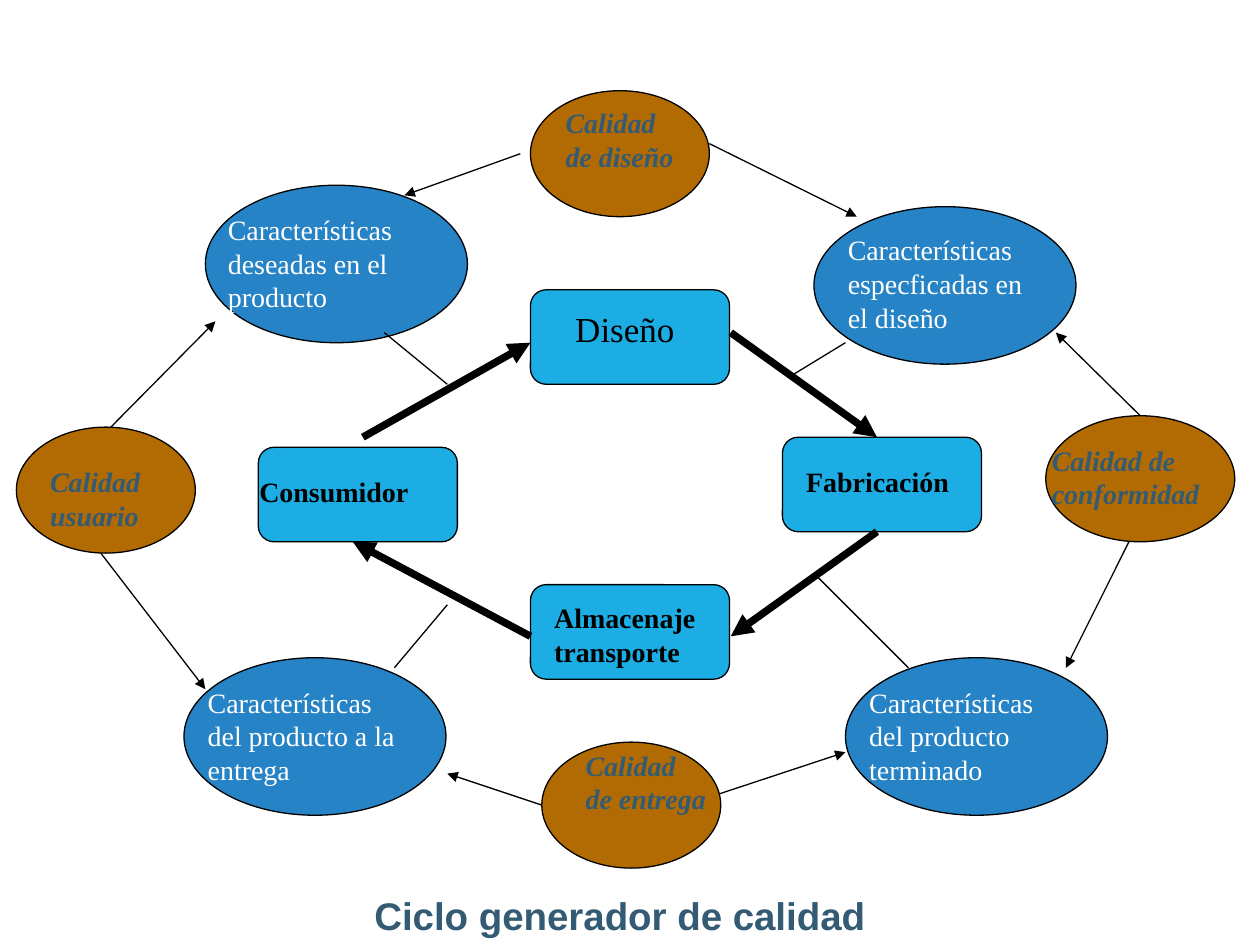
"""Build the quality cycle slide."""
from dataclasses import dataclass

from lxml import etree
from pptx import Presentation
from pptx.dml import color
from pptx.enum import shapes, text
from pptx.oxml import ns
from pptx.util import Inches, Pt

COLORS = {
    "black": "000000",
    "white": "FFFFFF",
    "slate": "335B74",
    "stage": "1CADE4",
    "quality": "B26B02",
    "feature": "2683C6",
}
SERIF = "Times New Roman"
THIN, THICK = 0.74, 4.25


def rgb(name: str) -> color.RGBColor:
    return color.RGBColor.from_string(COLORS[name])


@dataclass(frozen=True)
class Kind:
    outline: shapes.MSO_SHAPE
    fill: str
    ink: str
    size: tuple[float, float]
    font: dict


@dataclass(frozen=True)
class Node:
    kind: Kind
    label: str
    corner: tuple[float, float]
    label_box: tuple[float, float, float, float]
    width: float = 0


@dataclass(frozen=True)
class Link:
    start: tuple[float, float]
    end: tuple[float, float]
    weight: float = THIN
    arrow: bool = True


STAGE = Kind(shapes.MSO_SHAPE.ROUNDED_RECTANGLE, "stage", "black", (1.58, 0.75),
             {"name": SERIF, "size": Pt(16), "bold": True})
DESIGN = Kind(STAGE.outline, "stage", "black", STAGE.size,
              {"name": SERIF, "size": Pt(20), "bold": False})
QUALITY = Kind(shapes.MSO_SHAPE.OVAL, "quality", "slate", (1.42, 1),
               {"name": SERIF, "size": Pt(16), "bold": True, "italic": True})
FEATURE = Kind(shapes.MSO_SHAPE.OVAL, "feature", "white", (2.08, 1.25),
               {"name": SERIF, "size": Pt(16), "bold": False})

NODES = [
    Node(DESIGN, "Diseño", (4.21, 2.3), (4.21, 2.39, 1.5, 0.44)),
    Node(STAGE, "Fabricación", (6.21, 3.47), (6.3, 3.64, 1.5, 0.37)),
    Node(STAGE, "Almacenaje transporte", (4.21, 4.64), (4.3, 4.72, 1.5, 0.64)),
    Node(STAGE, "Consumidor", (2.05, 3.55), (1.96, 3.72, 1.67, 0.37)),
    Node(QUALITY, "Calidad de diseño", (4.21, 0.72), (4.39, 0.79, 1.17, 0.64)),
    Node(QUALITY, "Calidad de conformidad", (8.3, 3.3), (8.25, 3.47, 1.75, 0.64), 1.5),
    Node(QUALITY, "Calidad de entrega", (4.3, 5.89), (4.55, 5.89, 1.17, 0.64)),
    Node(QUALITY, "Calidad usuario", (0.13, 3.39), (0.3, 3.64, 1.17, 0.64)),
    Node(FEATURE, "Características deseadas en el producto", (1.63, 1.47), (1.71, 1.64, 1.75, 0.9)),
    Node(FEATURE, "Características especficadas en el diseño", (6.46, 1.64), (6.63, 1.8, 1.75, 0.9)),
    Node(FEATURE, "Características del producto a la entrega", (1.46, 5.22), (1.55, 5.39, 1.75, 0.9)),
    Node(FEATURE, "Características del producto terminado", (6.71, 5.22), (6.8, 5.39, 1.75, 0.9)),
]

LINKS = [
    Link((2.88, 3.47), (4.21, 2.72), THICK),
    Link((5.8, 2.64), (6.96, 3.47), THICK),
    Link((6.96, 4.22), (5.8, 5.05), THICK),
    Link((4.21, 5.05), (2.8, 4.3), THICK),
    Link((9.05, 3.3), (8.38, 2.64)),
    Link((8.96, 4.3), (8.46, 5.3)),
    Link((4.13, 1.22), (3.21, 1.55)),
    Link((5.63, 1.14), (6.8, 1.72)),
    Link((5.71, 6.3), (6.71, 5.97)),
    Link((4.3, 6.39), (3.55, 6.14)),
    Link((0.88, 3.39), (1.71, 2.55)),
    Link((0.8, 4.39), (1.63, 5.47)),
    Link((3.05, 2.64), (3.55, 3.05), arrow=False),
    Link((6.71, 2.72), (6.3, 2.97), arrow=False),
    Link((3.13, 5.3), (3.55, 4.8), arrow=False),
    Link((7.21, 5.3), (6.46, 4.55), arrow=False),
]


def write(frame, wording: str, font: dict, ink: str, align: text.PP_ALIGN) -> None:
    frame.word_wrap = True
    paragraph = frame.paragraphs[0]
    paragraph.alignment = align
    run = paragraph.add_run()
    run.text = wording
    for attribute, value in font.items():
        setattr(run.font, attribute, value)
    run.font.color.rgb = rgb(ink)


def draw_node(slide, node: Node) -> None:
    kind = node.kind
    width, height = kind.size
    body = slide.shapes.add_shape(
        kind.outline, *map(Inches, (*node.corner, node.width or width, height)))
    body.shadow.inherit = False
    body.fill.solid()
    body.fill.fore_color.rgb = rgb(kind.fill)
    body.line.color.rgb = rgb("black")
    body.line.width = Pt(THIN)
    label = slide.shapes.add_textbox(*map(Inches, node.label_box))
    align = text.PP_ALIGN.CENTER if kind is DESIGN else text.PP_ALIGN.LEFT
    write(label.text_frame, node.label, kind.font, kind.ink, align)
    label.text_frame.auto_size = text.MSO_AUTO_SIZE.SHAPE_TO_FIT_TEXT


def draw_link(slide, link: Link) -> None:
    connector = slide.shapes.add_connector(
        shapes.MSO_CONNECTOR.STRAIGHT, *map(Inches, (*link.start, *link.end)))
    connector.line.color.rgb = rgb("black")
    connector.line.width = Pt(link.weight)
    if link.arrow:
        etree.SubElement(connector.line._get_or_add_ln(), ns.qn("a:tailEnd"), type="triangle")
    etree.SubElement(connector._element.spPr, ns.qn("a:effectLst"))


def draw_title(slide) -> None:
    title = slide.shapes.title
    bounds = {"left": 0.67, "top": 7.03, "width": 8.5, "height": 0.47}
    for attribute, value in bounds.items():
        setattr(title, attribute, Inches(value))
    title.text_frame.vertical_anchor = text.MSO_ANCHOR.MIDDLE
    title.text_frame.auto_size = text.MSO_AUTO_SIZE.NONE
    font = {"name": "Arial", "size": Pt(22), "bold": True}
    write(title.text_frame, "Ciclo generador de calidad", font, "slate", text.PP_ALIGN.CENTER)


def main() -> None:
    deck = Presentation()
    deck.slide_width, deck.slide_height = Inches(10), Inches(7.5)
    slide = deck.slides.add_slide(deck.slide_layouts.get_by_name("Title Only"))
    draw_title(slide)
    for node in NODES:
        draw_node(slide, node)
    for link in LINKS:
        draw_link(slide, link)
    deck.save("out.pptx")


main()
